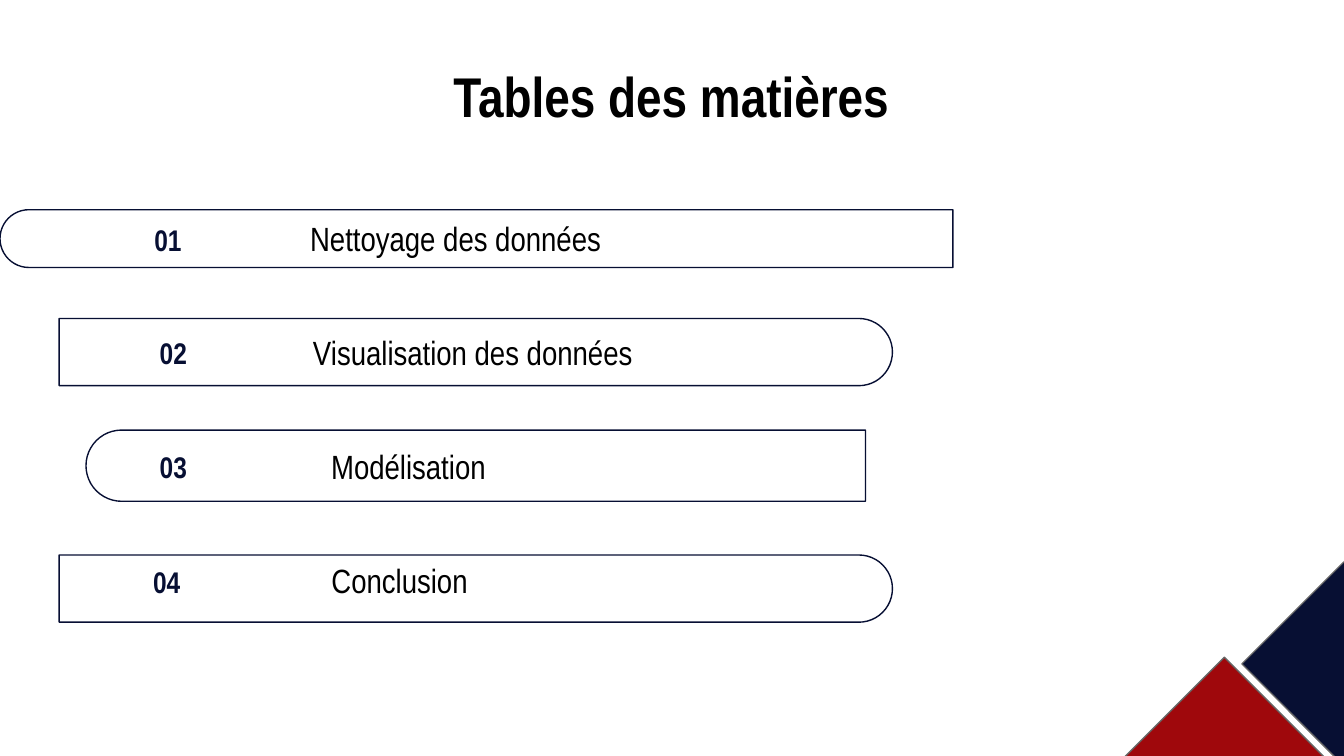
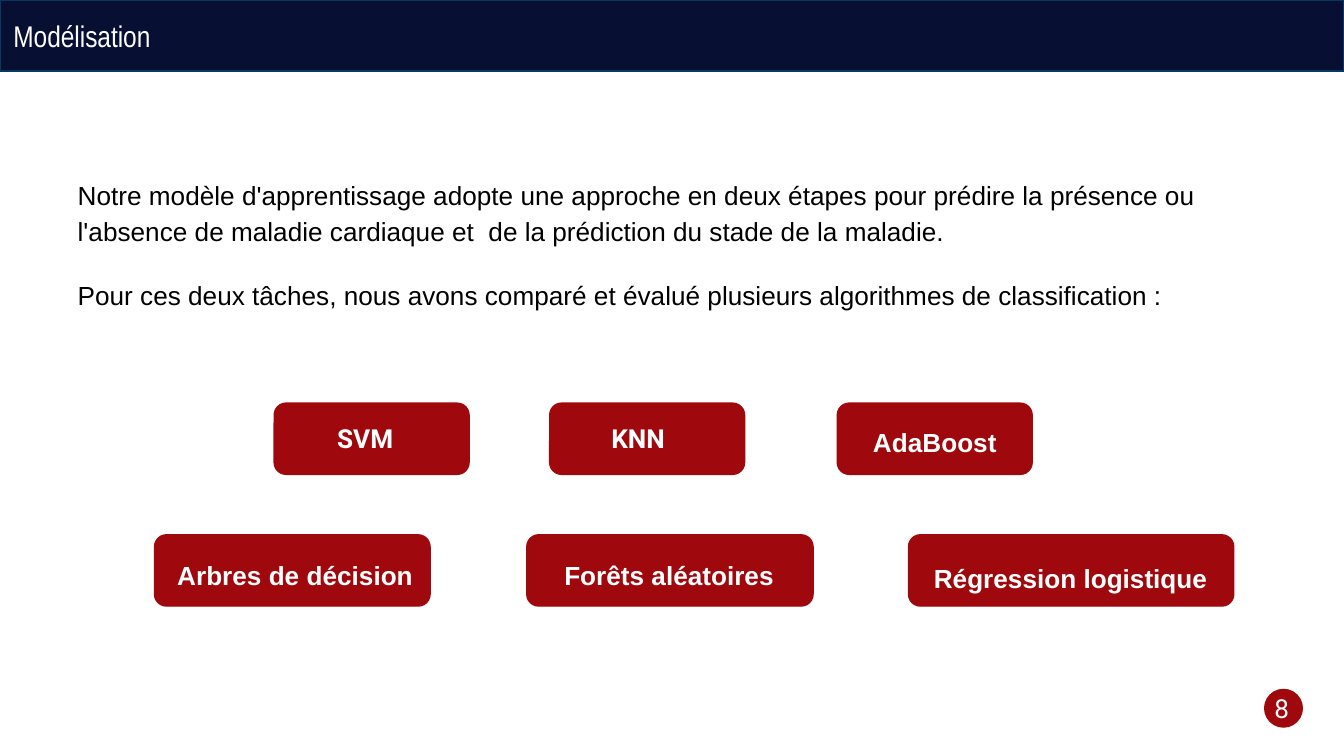
from dataclasses import dataclass

from pptx import Presentation
from pptx import util as u
from pptx.dml.color import RGBColor
from pptx.enum import shapes, text


@dataclass(frozen=True)
class Theme:
    navy: str = "070F33"
    red: str = "9F080C"
    white: str = "FFFFFF"
    black: str = "000000"
    grey: str = "666666"
    band_edge: str = "073763"
    narrow: str = "Arial Narrow"
    body: str = "Arial"
    display: str = "Roboto"
    title_size: int = 30
    entry_size: int = 18
    heading_size: int = 16
    body_size: int = 14
    line: float = 0.75
    inset: float = 0.1


@dataclass(frozen=True)
class Box:
    left: float
    top: float
    width: float
    height: float

    def inner(self, left, top, width, height):
        return Box(self.left + left, self.top + top, width, height)

    def turned(self):
        """Frame that covers this box after a quarter turn."""
        return Box(self.left + (self.width - self.height) / 2,
                   self.top + (self.height - self.width) / 2,
                   self.height, self.width)

    def lengths(self):
        return [u.Inches(n) for n in (self.left, self.top, self.width, self.height)]


THEME = Theme()
PRESET = shapes.MSO_SHAPE
ALIGN = text.PP_ALIGN
ANCHOR = text.MSO_ANCHOR
SLIDE = Box(0, 0, 10, 10 * 9 / 16)


def write(shape, *paragraphs, size, font=THEME.narrow, color=THEME.black, bold=False,
          align=ALIGN.LEFT, anchor=ANCHOR.TOP, side_inset=THEME.inset,
          line_spacing=None, space_before=0):
    frame = shape.text_frame
    frame.word_wrap = True
    frame.auto_size = text.MSO_AUTO_SIZE.NONE
    frame.vertical_anchor = anchor
    frame.margin_left = frame.margin_right = u.Inches(side_inset)
    frame.margin_top = frame.margin_bottom = u.Inches(THEME.inset)
    for index, words in enumerate(paragraphs):
        paragraph = frame.add_paragraph() if index else frame.paragraphs[0]
        paragraph.alignment = align
        paragraph.line_spacing = line_spacing
        paragraph.space_before = u.Pt(space_before)
        run = paragraph.add_run()
        run.text = words
        run.font.name = font
        run.font.size = u.Pt(size)
        run.font.bold = bold
        run.font.color.rgb = RGBColor.from_string(color)


def add_text(slide, box, *paragraphs, **style):
    write(slide.shapes.add_textbox(*box.lengths()), *paragraphs, **style)


def add_shape(slide, preset, box, fill=None, line=THEME.red, adjustments=()):
    shape = slide.shapes.add_shape(preset, *box.lengths())
    shape.shadow.inherit = False
    if fill:
        shape.fill.solid()
        shape.fill.fore_color.rgb = RGBColor.from_string(fill)
    else:
        shape.fill.background()
    shape.line.color.rgb = RGBColor.from_string(line)
    shape.line.width = u.Pt(THEME.line)
    for index, value in enumerate(adjustments):
        shape.adjustments[index] = value
    return shape


def set_title(slide, box, words, **style):
    title = slide.shapes.title
    title.left, title.top, title.width, title.height = box.lengths()
    write(title, words, **style)
    return title


def contents_entry(slide, box, number, number_left, label, label_left, label_width,
                   align=ALIGN.CENTER, rise=0, round_left=False):
    """Pill with one round end, its number and its label."""
    pill = add_shape(slide, PRESET.ROUND_2_SAME_RECTANGLE, box.turned(),
                     line=THEME.navy, adjustments=(0.5, 0))
    pill.rotation = 270 if round_left else 90
    middle = box.height / 2 - rise
    style = dict(anchor=ANCHOR.MIDDLE, side_inset=0)
    add_text(slide, box.inner(number_left, middle - 0.18, 0.4, 0.37), number,
             size=THEME.heading_size, color=THEME.navy, bold=True,
             align=ALIGN.CENTER, **style)
    add_text(slide, box.inner(label_left, middle - 0.12, label_width, 0.24), label,
             size=THEME.entry_size, align=align, **style)


def corner_diamonds(slide, box):
    side = 1.52
    for left, top, fill in ((0.89, 0, THEME.navy), (0, 0.71, THEME.red)):
        add_shape(slide, PRESET.DIAMOND, box.inner(left, top, side, side),
                  fill=fill, line=THEME.grey)


def contents_slide(slide, box):
    set_title(slide, box.inner(1.73, 0.44, 6.53, 0.53), "Tables des matières",
              size=THEME.title_size, bold=True, align=ALIGN.CENTER, anchor=ANCHOR.MIDDLE)
    contents_entry(slide, box.inner(0, 1.56, 7.09, 0.43), "01", 1.05,
                   "Nettoyage des données", 1.33, 4.12, round_left=True)
    contents_entry(slide, box.inner(0.44, 2.37, 6.2, 0.5), "02", 0.65,
                   " Visualisation des données", 1.29, 3.52)
    contents_entry(slide, box.inner(0.64, 3.2, 5.8, 0.53), "03", 0.45,
                   "Modélisation", 1.27, 2.26, round_left=True)
    contents_entry(slide, box.inner(0.44, 4.13, 6.2, 0.5), "04", 0.6,
                   " Conclusion", 1.97, 3.36, align=ALIGN.LEFT, rise=0.06)
    corner_diamonds(slide, box.inner(8.35, 4.18, 2.41, 2.23))


def title_band(slide, box, words):
    band = add_shape(slide, PRESET.RECTANGLE, box, fill=THEME.navy, line=THEME.band_edge)
    title = set_title(slide, box.inner(0, 0.03, 2.95, 0.47), words,
                      size=THEME.heading_size, color=THEME.white)
    title.element.addprevious(band.element)


def page_badge(slide, box, number):
    add_shape(slide, PRESET.OVAL, box, fill=THEME.red)
    add_text(slide, box.inner(0, -0.08, 0.17, 0.44), number,
             size=THEME.body_size, font=THEME.display, color=THEME.white)


def algorithm_card(slide, box, name, indent, drop, width, **style):
    add_shape(slide, PRESET.ROUNDED_RECTANGLE, box, fill=THEME.red, adjustments=(0.167,))
    add_text(slide, box.inner(indent, drop, width, 0.44), name,
             size=THEME.body_size, color=THEME.white, bold=True, **style)


def algorithm_cards(slide, box):
    height, row_step = 0.53, 0.98
    spaced = dict(font=THEME.body, line_spacing=1.15, space_before=15)
    display = dict(font=THEME.display)
    rows = (
        ((0.89, 1.45, "SVM", 0.37, 0.04, 0.87, display),
         (2.94, 1.45, "KNN", 0.36, 0.04, 0.72, display),
         (5.08, 1.45, " AdaBoost", 0.12, 0.04, 1.21, spaced)),
        ((0, 2.05, "Arbres de décision", 0.07, 0.05, 2.22, spaced),
         (2.77, 2.13, "Forêts aléatoires", 0.18, 0.05, 2.42, spaced),
         (5.61, 2.42, "Régression logistique", 0.09, 0.07, 2.56, spaced)),
    )
    for row, cards in enumerate(rows):
        for left, width, name, indent, drop, label_width, style in cards:
            algorithm_card(slide, box.inner(left, row * row_step, width, height),
                           name, indent, drop, label_width, **style)


def modelling_slide(slide, box):
    title_band(slide, box.inner(0, 0, box.width, 0.53), "Modélisation")
    page_badge(slide, box.inner(9.41, 5.13, 0.28, 0.28), "8")
    add_text(
        slide, box.inner(0.48, 1.2, 9.04, 2.15),
        "Notre modèle d'apprentissage adopte une approche en deux étapes pour prédire "
        "la présence ou l'absence de maladie cardiaque et  de la prédiction du stade "
        "de la maladie.",
        "Pour ces deux tâches, nous avons comparé et évalué plusieurs algorithmes de "
        "classification :",
        size=THEME.body_size, font=THEME.body, line_spacing=1.15, space_before=15)
    algorithm_cards(slide, box.inner(1.15, 3, 8.03, 1.51))


def main():
    presentation = Presentation()
    presentation.slide_width = u.Inches(SLIDE.width)
    presentation.slide_height = u.Inches(SLIDE.height)
    title_only = presentation.slide_layouts.get_by_name("Title Only")
    for build in (contents_slide, modelling_slide):
        build(presentation.slides.add_slide(title_only), SLIDE)
    presentation.save("out.pptx")


if __name__ == "__main__":
    main()
